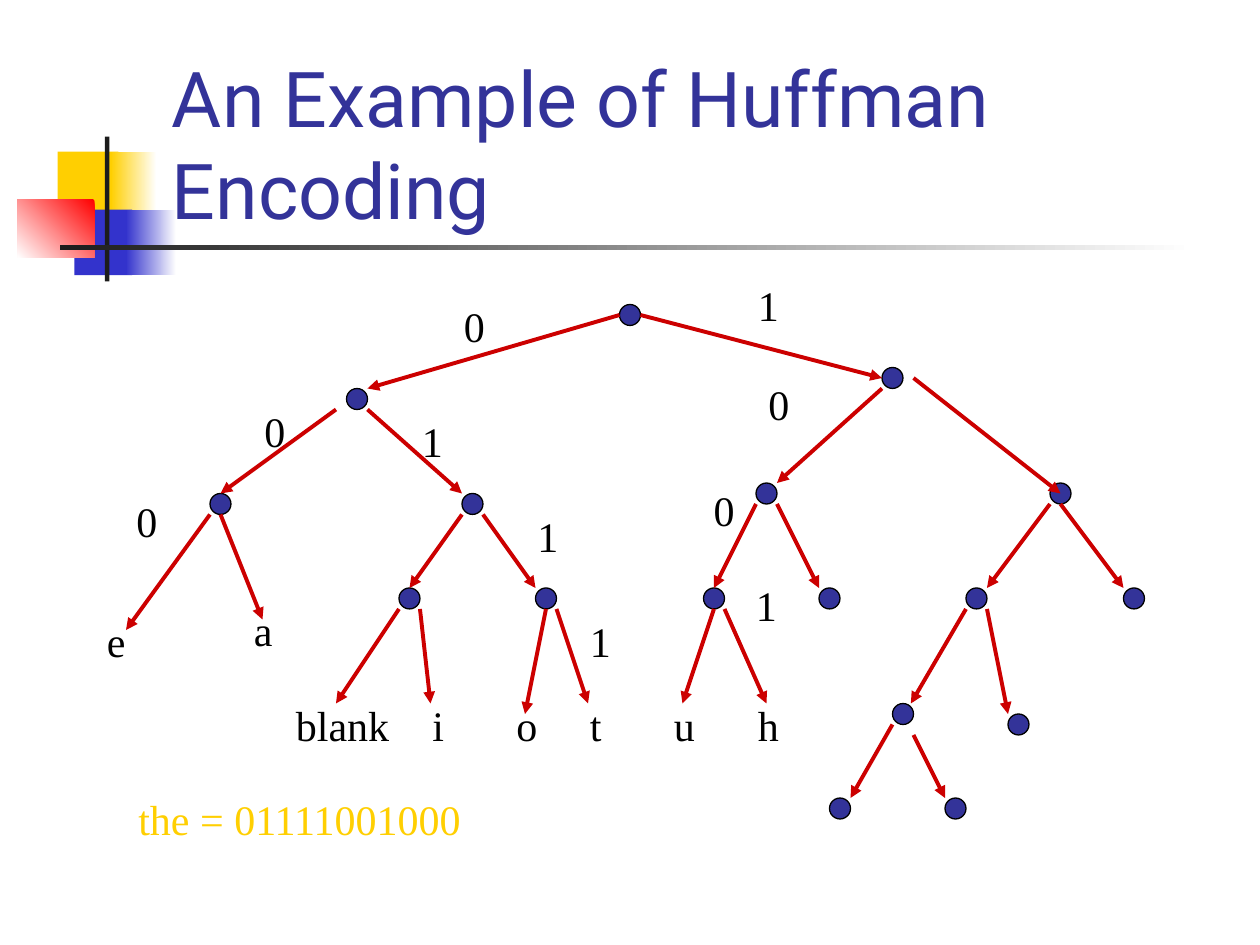
from pptx import Presentation
from pptx.dml.color import RGBColor
from pptx.enum.shapes import MSO_CONNECTOR, MSO_SHAPE
from pptx.enum.text import MSO_ANCHOR, PP_ALIGN
from pptx.oxml.ns import qn
from pptx.util import Pt
from lxml import etree

RECTANGLE, OVAL = MSO_SHAPE.RECTANGLE, MSO_SHAPE.OVAL
STRAIGHT = MSO_CONNECTOR.STRAIGHT
BOTTOM, TOP = MSO_ANCHOR.BOTTOM, MSO_ANCHOR.TOP
LEFT = PP_ALIGN.LEFT

COLORS = {
    "yellow": "FFCF01", "blue": "3333CC", "red": "FF0000", "white": "FFFFFF",
    "charcoal": "1C1C1C", "navy": "333399", "arrow": "CC0000", "black": "000000",
}
TITLE_FONT, LABEL_FONT = "Roboto", "Times New Roman"
STEP = 6
NODE_SIZE = 12

NODES = [
    (51, 4),
    (25, 12), (76, 10),
    (12, 22), (36, 22), (64, 21), (92, 21),
    (30, 31), (43, 31), (59, 31), (70, 31), (84, 31), (99, 31),
    (77, 42), (88, 43),
    (71, 51), (82, 51),
]
ARROWS = [
    (50, 4, 26, 11), (52, 4, 75, 10),
    (23, 13, 12, 21), (26, 13, 35, 21), (75, 11, 65, 20), (78, 10, 92, 21),
    (11, 23, 3, 34), (12, 23, 16, 33), (35, 23, 30, 30), (37, 23, 42, 30),
    (63, 22, 59, 30), (65, 22, 69, 30), (91, 22, 85, 30), (92, 22, 98, 30),
    (29, 32, 23, 41), (31, 32, 32, 41), (43, 32, 41, 42), (44, 32, 47, 41),
    (59, 32, 56, 41), (60, 32, 64, 41), (83, 32, 77.75, 41), (85, 32, 87, 42),
    (76, 43, 72, 50), (78, 44, 81, 50),
]
BITS = [
    ("0", 34, 2, 4), ("1", 62, 0, 4),
    ("0", 15, 12, 4), ("1", 30, 13, 3), ("0", 63, 9.5, 5),
    ("0", 2.8, 20.6, 4.3), ("1", 41, 22, 5), ("0", 57.8, 19.6, 4.3),
    ("1", 46, 32, 3), ("1", 61.8, 28.6, 4.3),
]
LETTERS = [
    ("e", 0, 32, 4), ("a", 14, 31, 5), ("blank", 18, 40, 14), ("i", 31, 40, 6),
    ("o", 39, 40, 6), ("t", 46, 40, 7), ("u", 54, 40, 5), ("h", 62, 40, 4),
]


def color(name):
    return RGBColor.from_string(COLORS[name])


def format_text(text_frame, text, font_name, size, color_name, anchor):
    text_frame.word_wrap = True
    text_frame.vertical_anchor = anchor
    text_frame.text = text
    paragraph = text_frame.paragraphs[0]
    paragraph.alignment = LEFT
    font = paragraph.runs[0].font
    font.name, font.size = font_name, Pt(size)
    font.color.rgb = color(color_name)


def add_block(slide, left, top, width, height, start, end=None, angle=180):
    block = slide.shapes.add_shape(RECTANGLE, Pt(left), Pt(top), Pt(width), Pt(height))
    block.shadow.inherit = False
    block.line.fill.background()
    if end is None:
        block.fill.solid()
        block.fill.fore_color.rgb = color(start)
    else:
        block.fill.gradient()
        block.fill.gradient_angle = angle
        for stop, name in zip(block.fill.gradient_stops, (start, end)):
            stop.color.rgb = color(name)


def add_ornament(slide, left, top):
    add_block(slide, left + 23, top + 8.6, 34.6, 37.4, "yellow")
    add_block(slide, left + 53.4, top + 8.6, 26, 37.4, "white", "yellow")
    add_block(slide, left + 32.5, top + 41.8, 33, 37.4, "blue")
    add_block(slide, left + 62, top + 41.8, 28.8, 37.4, "white", "blue")
    add_block(slide, left, top + 36, 44, 33.2, "red", "white", 225)
    add_block(slide, left + 50, top, 2.5, 82.8, "charcoal")
    add_block(slide, left + 24.5, top + 62.3, 648, 2.5, "white", "charcoal")


def add_title(slide, left, top, width, height):
    title = slide.shapes.title
    title.left, title.top = Pt(left), Pt(top)
    title.width, title.height = Pt(width), Pt(height)
    format_text(title.text_frame, "An Example of Huffman Encoding",
                TITLE_FONT, 44, "navy", BOTTOM)
    title.element.getparent().append(title.element)


def add_node(slide, center_x, center_y):
    node = slide.shapes.add_shape(OVAL, Pt(center_x - NODE_SIZE / 2),
                                  Pt(center_y - NODE_SIZE / 2), Pt(NODE_SIZE), Pt(NODE_SIZE))
    node.shadow.inherit = False
    node.fill.solid()
    node.fill.fore_color.rgb = color("navy")
    node.line.color.rgb = color("black")
    node.line.width = Pt(0.75)


def add_arrow(slide, *ends):
    arrow = slide.shapes.add_connector(STRAIGHT, *(Pt(end) for end in ends))
    arrow.line.color.rgb = color("arrow")
    arrow.line.width = Pt(2.25)
    properties = arrow.element.spPr
    etree.SubElement(properties.find(qn("a:ln")), qn("a:tailEnd"), type="triangle")
    etree.SubElement(properties, qn("a:effectLst"))


def add_label(slide, text, left, top, width, color_name="black"):
    label = slide.shapes.add_textbox(Pt(left), Pt(top), Pt(width), Pt(36))
    format_text(label.text_frame, text, LABEL_FONT, 24, color_name, TOP)


def add_tree(slide, left, top):
    for x, y in NODES:
        add_node(slide, left + x * STEP, top + y * STEP)
    for x1, y1, x2, y2 in ARROWS:
        add_arrow(slide, left + x1 * STEP, top + y1 * STEP,
                  left + x2 * STEP, top + y2 * STEP)
    for text, x, y, width in BITS + LETTERS:
        add_label(slide, text, left + x * STEP, top + y * STEP, width * STEP)


def main():
    presentation = Presentation()
    presentation.slide_width, presentation.slide_height = Pt(720), Pt(540)
    slide = presentation.slides.add_slide(presentation.slide_layouts[5])
    add_ornament(slide, 10, 78)
    add_title(slide, 91, 48, 613.5, 90)
    add_tree(slide, 54, 156)
    add_label(slide, "the = 01111001000", 72, 450, 294, "yellow")
    presentation.save("out.pptx")


if __name__ == "__main__":
    main()
